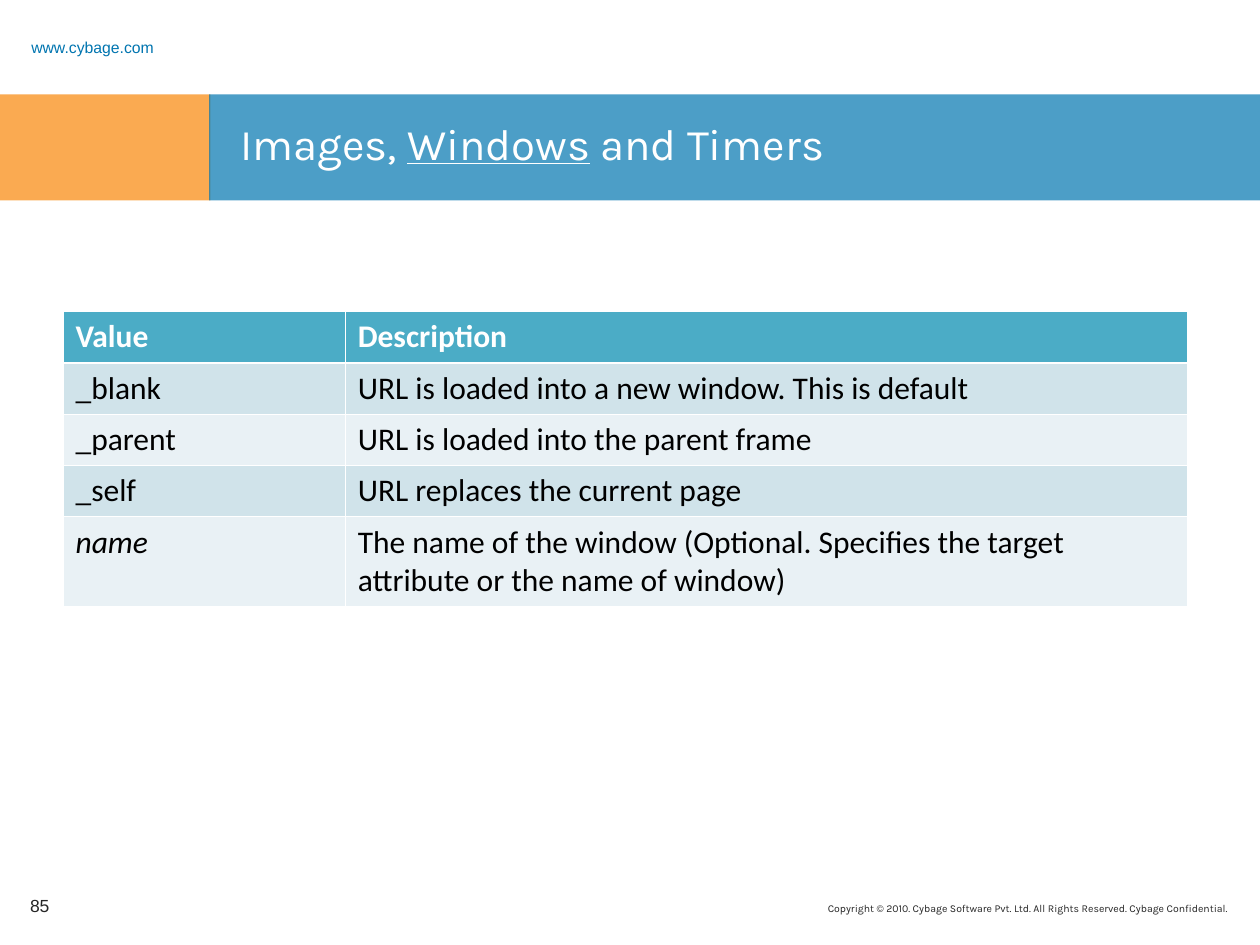
from lxml.etree import SubElement
from pptx import Presentation
from pptx.dml.color import RGBColor
from pptx.enum.shapes import MSO_SHAPE as Shape
from pptx.enum.text import MSO_ANCHOR as Anchor, MSO_AUTO_SIZE as AutoSize, PP_ALIGN as Align
from pptx.oxml.ns import qn
from pptx.util import Inches, Pt

WHITE, BLACK, BLUE, ORANGE, DARK = "FFFFFF", "000000", "0075B0", "F88608", "262626"
HEADER_FILL, BAND_FILLS = "4BACC6", ("D0E3EA", "E9F1F5")
ROWS = [
    ("Value", "Description"),
    ("_blank", "URL is loaded into a new window. This is default"),
    ("_parent", "URL is loaded into the parent frame"),
    ("_self", "URL replaces the current page"),
    ("name", "The name of the window (Optional. Specifies the target attribute or the name of window)"),
]


def color(value):
    return RGBColor.from_string(value)


def add_run(paragraph, text, size, font_name, font_color, bold=False, italic=False, underline=False):
    run = paragraph.add_run()
    run.text = text
    font = run.font
    font.size, font.name = Pt(size), font_name
    font.bold, font.italic, font.underline = bold, italic, underline
    font.color.rgb = color(font_color)


def add_label(slide, box, text, size, font_name, font_color,
              align=Align.LEFT, anchor=Anchor.MIDDLE, line_spacing=1.0):
    frame = slide.shapes.add_textbox(*map(Inches, box)).text_frame
    frame.word_wrap = True
    frame.vertical_anchor = anchor
    paragraph = frame.paragraphs[0]
    paragraph.alignment, paragraph.line_spacing = align, line_spacing
    add_run(paragraph, text, size, font_name, font_color)


def add_band(slide, box, fill_color):
    shape = slide.shapes.add_shape(Shape.RECTANGLE, *map(Inches, box))
    shape.shadow.inherit = False
    shape.fill.solid()
    shape.fill.fore_color.rgb = color(fill_color)
    shape.line.fill.background()
    fill = shape.element.spPr.find(qn("a:solidFill"))
    SubElement(fill[0], qn("a:alpha"), val="70000")


def add_title_band(slide, box):
    left, top, width, height = box
    split = 1.66
    add_band(slide, (left, top, split + 0.01, height), ORANGE)
    add_band(slide, (left + split, top, width - split, height), BLUE)

    title = slide.shapes.title
    title.left, title.top = Inches(left + 1.81), Inches(top + 0.13)
    title.width, title.height = Inches(7.94), Inches(0.62)
    title.element.getparent().append(title.element)
    frame = title.text_frame
    frame.auto_size = AutoSize.NONE
    frame.vertical_anchor = Anchor.TOP
    paragraph = frame.paragraphs[0]
    paragraph.alignment = Align.LEFT
    for text, underline in (("Images, ", False), ("Windows", True), (" and Timers", False)):
        add_run(paragraph, text, 25, "Karla", WHITE, underline=underline)


def set_borders(cell, widths):
    properties = cell._tc.get_or_add_tcPr()
    for index, (side, width) in enumerate(widths.items()):
        line = SubElement(properties, qn(f"a:ln{side}"), w=str(Pt(width)))
        fill = SubElement(line, qn("a:solidFill"))
        SubElement(fill, qn("a:srgbClr"), val=WHITE)
        properties.insert(index, line)


def add_value_table(slide, box):
    table = slide.shapes.add_table(len(ROWS), 2, *map(Inches, box)).table
    for column, width in zip(table.columns, (2.24, 6.68)):
        column.width = Inches(width)
    for row, height in zip(table.rows, (0.41, 0.4, 0.41, 0.4, 0.7)):
        row.height = Inches(height)
    for row_index, texts in enumerate(ROWS):
        header = row_index == 0
        fill_color = HEADER_FILL if header else BAND_FILLS[(row_index - 1) % 2]
        for column_index, text in enumerate(texts):
            cell = table.cell(row_index, column_index)
            cell.fill.solid()
            cell.fill.fore_color.rgb = color(fill_color)
            set_borders(cell, {"L": 0.45, "R": 0.45,
                               "T": 1.47 if row_index == 1 else 0.45,
                               "B": 1.47 if header else 0.45})
            add_run(cell.text_frame.paragraphs[0], text, 18, "Calibri",
                    WHITE if header else BLACK, bold=header, italic=text == "name")


def add_footer(slide, box):
    left, top, width, height = box
    add_label(slide, (left, top, 0.54, height), "85", 10, "Arial", DARK)
    add_label(slide, (left + width - 5.76, top + 0.12, 5.76, 0.26),
              "Copyright © 2010. Cybage Software Pvt. Ltd. All Rights Reserved. Cybage Confidential.",
              6, "Karla", DARK, align=Align.RIGHT, anchor=Anchor.TOP)


def main():
    presentation = Presentation()
    presentation.slide_width, presentation.slide_height = Inches(10), Inches(7.5)
    slide = presentation.slides.add_slide(presentation.slide_layouts[5])
    add_label(slide, (0.15, 0.24, 1.5, 0.19), "www.cybage.com", 9, "Arial", BLUE, line_spacing=1.5)
    add_title_band(slide, (0, 0.75, 10, 0.84))
    add_value_table(slide, (0.5, 2.47, 8.92, 2.32))
    add_footer(slide, (0.14, 6.99, 9.7, 0.4))
    presentation.save("out.pptx")


if __name__ == "__main__":
    main()
